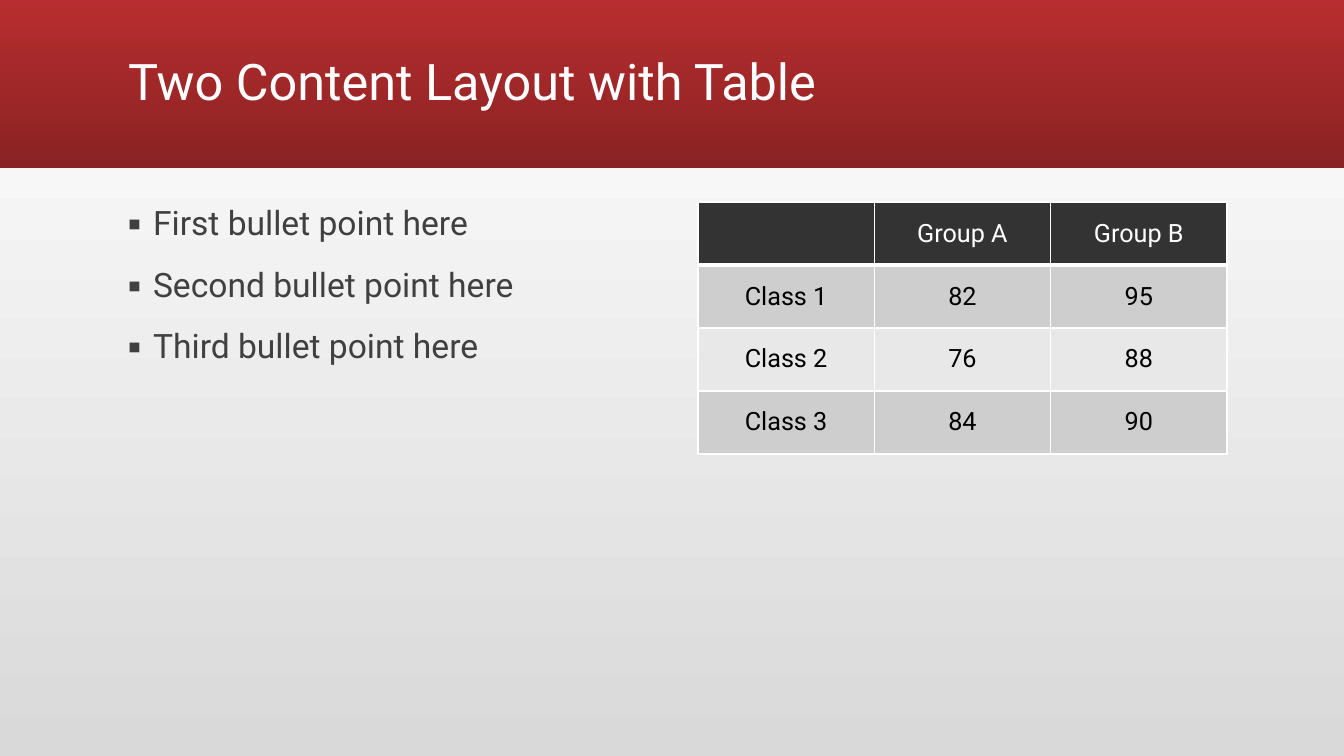
from dataclasses import dataclass

from lxml import etree
from pptx import Presentation
from pptx.dml.color import RGBColor
from pptx.enum.shapes import MSO_SHAPE
from pptx.enum.text import MSO_ANCHOR, MSO_AUTO_SIZE, PP_ALIGN
from pptx.oxml.ns import qn
from pptx.util import Emu, Pt

RECT = MSO_SHAPE.RECTANGLE
MIDDLE, TOP = MSO_ANCHOR.MIDDLE, MSO_ANCHOR.TOP
LEFT, CENTER = PP_ALIGN.LEFT, PP_ALIGN.CENTER
NO_AUTOFIT = MSO_AUTO_SIZE.NONE
TITLE_ONLY = 5
SCALE = 914400 / 100.8


def px(n):
    """Turn pixels into EMU."""
    return Emu(round(n * SCALE))


@dataclass(frozen=True)
class Theme:
    """Colours, font and type sizes of the slide."""
    font: str = "Roboto"
    white: str = "FFFFFF"
    black: str = "000000"
    body: str = "404040"
    header: str = "333333"
    rows: tuple = ("CECECE", "E8E8E8")
    background: tuple = ("D9D9D9", "FFFFFF")
    band: tuple = ("B82D2F", "8A2223")
    title_size: int = 36
    body_size: int = 24
    table_size: int = 18
    border: int = 1
    header_rule: int = 3


class SlideBuilder:
    """Holds the theme and the current slide and adds elements to it."""

    def __init__(self, prs, theme):
        """Add a title-only slide."""
        self.theme = theme
        self.s = prs.slides.add_slide(prs.slide_layouts[TITLE_ONLY])

    def gradient(self, fill, colors, angle):
        """Apply a two-stop linear gradient."""
        fill.gradient()
        fill.gradient_angle = angle
        for stop, color in zip(fill.gradient_stops, colors):
            stop.color.rgb = RGBColor.from_string(color)

    def style(self, p, size, color, align=LEFT):
        """Format a paragraph and its runs."""
        p.alignment = align
        for r in p.runs:
            r.font.name = self.theme.font
            r.font.size = Pt(size)
            r.font.color.rgb = RGBColor.from_string(color)

    def frame(self, tf, anchor):
        """Set wrapping, fitting and anchoring of a text frame."""
        tf.word_wrap = True
        tf.auto_size = NO_AUTOFIT
        tf.vertical_anchor = anchor

    def background(self):
        """Fill the slide background."""
        self.gradient(self.s.background.fill, self.theme.background, 90)

    def band(self, x, y, w, h):
        """Add the title band behind everything else."""
        sp = self.s.shapes.add_shape(RECT, px(x), px(y), px(w), px(h))
        sp.shadow.inherit = False
        sp.line.fill.background()
        self.gradient(sp.fill, self.theme.band, 270)
        self.s.shapes._spTree.insert(2, sp._element)

    def title(self, text, x, y, w, h):
        """Place and format the title placeholder."""
        sp = self.s.shapes.title
        sp.left, sp.top, sp.width, sp.height = px(x), px(y), px(w), px(h)
        tf = sp.text_frame
        tf.text = text
        self.frame(tf, MIDDLE)
        p = tf.paragraphs[0]
        p.line_spacing = 0.9
        self.style(p, self.theme.title_size, self.theme.white)

    def bullets(self, items, x, y, w, h):
        """Add a bulleted list."""
        sp = self.s.shapes.add_textbox(px(x), px(y), px(w), px(h))
        tf = sp.text_frame
        self.frame(tf, TOP)
        tf.text = "\n".join(items)
        for p in tf.paragraphs:
            p.line_spacing = 0.9
            p.space_before = Pt(18)
            self.style(p, self.theme.body_size, self.theme.body)
            pPr = p._p.get_or_add_pPr()
            pPr.set("marL", "228600")
            pPr.set("indent", "-228600")
            etree.SubElement(pPr, qn("a:buFont"), typeface=self.theme.font)
            etree.SubElement(pPr, qn("a:buChar"), char="▪")

    def borders(self, cell, widths):
        """Draw the cell borders, given as widths by side."""
        tcPr = cell._tc.get_or_add_tcPr()
        for side, width in widths.items():
            ln = etree.SubElement(tcPr, qn(f"a:ln{side}"), w=str(Pt(width)))
            fill = etree.SubElement(ln, qn("a:solidFill"))
            etree.SubElement(fill, qn("a:srgbClr"), val=self.theme.white)

    def table(self, rows, x, y, w, h):
        """Add a table with a dark header and banded rows."""
        t = self.theme
        shape = self.s.shapes.add_table(len(rows), len(rows[0]),
                                        px(x), px(y), px(w), px(h))
        for i, row in enumerate(rows):
            fill = t.rows[(i - 1) % 2] if i else t.header
            color = t.black if i else t.white
            widths = dict.fromkeys("LRTB", t.border)
            if i < 2:
                widths["T" if i else "B"] = t.header_rule
            for j, text in enumerate(row):
                cell = shape.table.cell(i, j)
                self.borders(cell, widths)
                cell.fill.solid()
                cell.fill.fore_color.rgb = RGBColor.from_string(fill)
                cell.vertical_anchor = MIDDLE
                cell.text_frame.text = text
                self.style(cell.text_frame.paragraphs[0], t.table_size,
                           color, CENTER)


def main():
    """Build and save the slide."""
    prs = Presentation()
    prs.slide_width, prs.slide_height = px(1344), px(756)
    slide = SlideBuilder(prs, Theme())
    slide.background()
    slide.band(0, 0, 1344, 168)
    slide.title("Two Content Layout with Table", 118, 11, 1109, 146)
    slide.bullets(["First bullet point here",
                   "Second bullet point here",
                   "Third bullet point here"], 118, 202, 529, 504)
    slide.table([["", "Group A", "Group B"],
                 ["Class 1", "82", "95"],
                 ["Class 2", "76", "88"],
                 ["Class 3", "84", "90"]], 698, 202, 529, 252)
    prs.save("out.pptx")


main()
